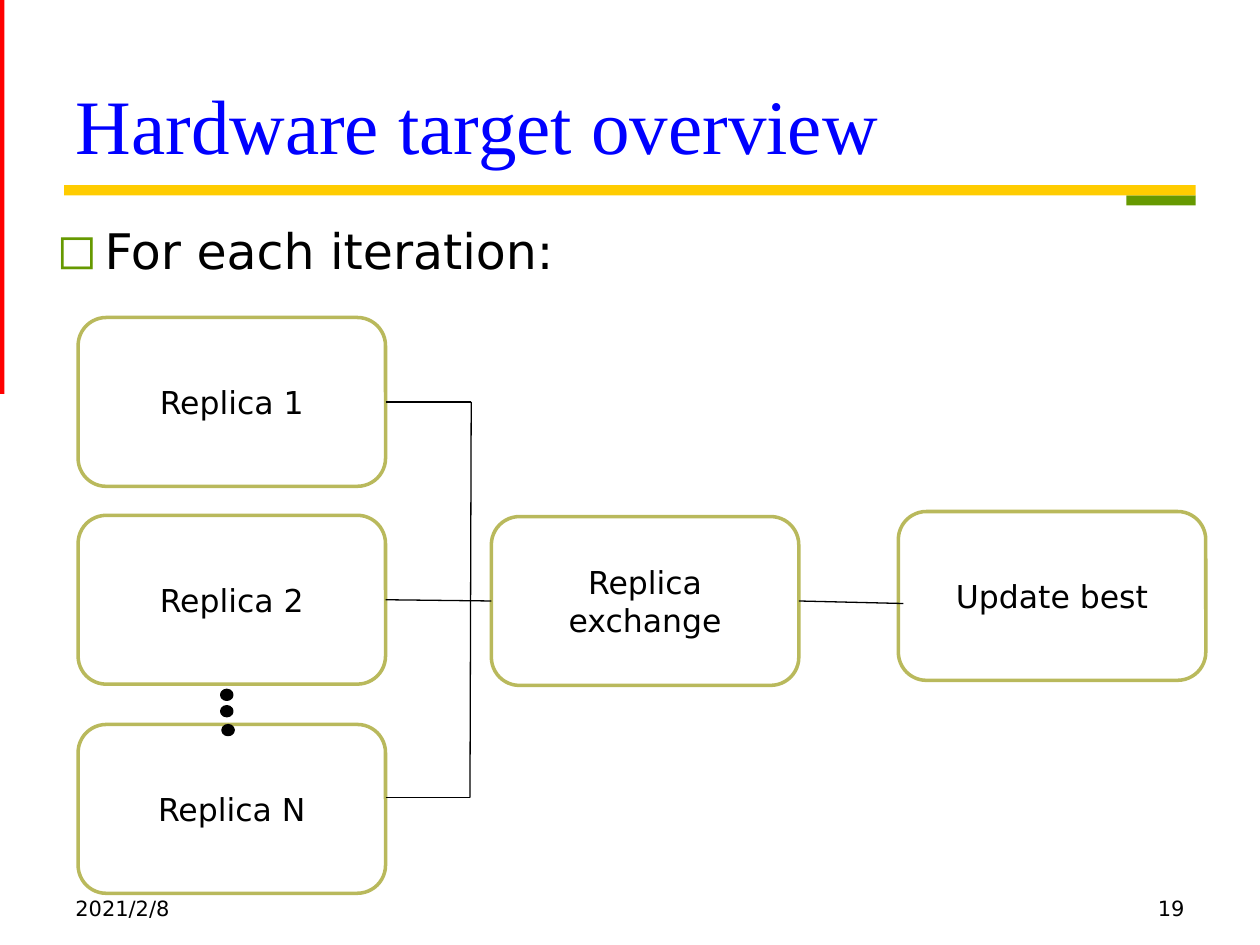
from pptx import Presentation
from pptx.dml.color import RGBColor
from pptx.enum.shapes import MSO_CONNECTOR, MSO_SHAPE
from pptx.enum.text import MSO_ANCHOR, MSO_AUTO_SIZE, PP_ALIGN
from pptx.oxml.ns import qn
from pptx.util import Inches, Pt
from lxml import etree

RECT, ROUNDED, OVAL = MSO_SHAPE.RECTANGLE, MSO_SHAPE.ROUNDED_RECTANGLE, MSO_SHAPE.OVAL
STRAIGHT = MSO_CONNECTOR.STRAIGHT
TOP, MIDDLE, BOTTOM = MSO_ANCHOR.TOP, MSO_ANCHOR.MIDDLE, MSO_ANCHOR.BOTTOM
LEFT, CENTER, RIGHT = PP_ALIGN.LEFT, PP_ALIGN.CENTER, PP_ALIGN.RIGHT
NO_FIT = MSO_AUTO_SIZE.NONE

COLORS = {
    "title": "0000FF", "text": "000000", "paper": "FFFFFF", "olive": "B9B95C",
    "green": "669900", "red": "FF0000", "gold": "FFCC00",
}
SANS, SERIF = "DejaVu Sans", "Times New Roman"

# Diagram grid, in inches
COLUMNS = [0.62, 3.9, 7.13]
ROWS = [2.52, 4.09, 5.75]
BOX_W, BOX_H = 2.44, 1.34
BUS_X = 3.74
LEFT_SIDE, RIGHT_SIDE = 1, 3


def color(name):
    return RGBColor.from_string(COLORS[name])


def place(element, left, top, width, height):
    element.left, element.top = Inches(left), Inches(top)
    element.width, element.height = Inches(width), Inches(height)


def write(holder, text, size=18, font=SANS, ink="text", align=LEFT, anchor=TOP, spacing=None):
    frame = holder.text_frame
    frame.word_wrap = True
    frame.auto_size = NO_FIT
    frame.vertical_anchor = anchor
    paragraph = frame.paragraphs[0]
    paragraph.alignment = align
    paragraph.line_spacing = spacing
    run = paragraph.add_run()
    run.text = text
    run.font.size, run.font.name = Pt(size), font
    run.font.color.rgb = color(ink)
    return paragraph


def add_solid(slide, kind, box, fill, line=None, rotation=0):
    solid = slide.shapes.add_shape(kind, *map(Inches, box))
    solid.shadow.inherit = False
    solid.rotation = rotation
    solid.fill.solid()
    solid.fill.fore_color.rgb = color(fill)
    if line:
        solid.line.color.rgb = color(line)
        solid.line.width = Pt(2)
    else:
        solid.line.fill.background()
    return solid


def add_step(slide, text, left, top):
    step = add_solid(slide, ROUNDED, (left, top, BOX_W, BOX_H), "paper", "olive")
    write(step, text, align=CENTER, anchor=MIDDLE)
    return step


def add_wire(slide, start, end, source=None, target=None):
    wire = slide.shapes.add_connector(STRAIGHT, *map(Inches, start + end))
    wire.line.color.rgb = color("text")
    wire.line.width = Pt(0.75)
    etree.SubElement(wire._element.spPr, qn("a:effectLst"))
    if source:
        wire.begin_connect(source, RIGHT_SIDE)
    if target:
        wire.end_connect(target, LEFT_SIDE)


def add_footer(slide, text, left, align):
    footer = slide.shapes.add_textbox(*map(Inches, (left, 7.06, 2.33, 0.28)))
    write(footer, text, size=12, align=align)


def set_square_bullet(paragraph):
    properties = paragraph._p.get_or_add_pPr()
    properties.set("marL", str(Inches(0.38)))
    properties.set("indent", str(-Inches(0.38)))
    bullet_color = etree.SubElement(properties, qn("a:buClr"))
    etree.SubElement(bullet_color, qn("a:srgbClr"), val=COLORS["green"])
    etree.SubElement(properties, qn("a:buFont"), typeface=SANS)
    etree.SubElement(properties, qn("a:buChar"), char="◻")


def add_frame(slide):
    add_solid(slide, RECT, (8.94, 1.55, 0.55, 0.08), "green")
    add_solid(slide, RECT, (-1.58, 1.51, 3.15, 0.08), "red", rotation=270)
    add_solid(slide, RECT, (0.51, 1.47, 8.98, 0.08), "gold")
    add_footer(slide, "2021/2/8", 0.5, LEFT)
    add_footer(slide, "19", 7.17, RIGHT)


def add_diagram(slide):
    # Steps
    replica_1, replica_2, _ = [
        add_step(slide, f"Replica {label}", COLUMNS[0], top)
        for label, top in zip("12N", ROWS)
    ]
    exchange = add_step(slide, "Replica exchange", COLUMNS[1], 4.1)
    add_step(slide, "Update best", COLUMNS[2], 4.06)

    # Wires
    replica_right = COLUMNS[0] + BOX_W
    bus_top, bus_bottom = (BUS_X, 3.19), (BUS_X - 0.01, 6.33)
    add_wire(slide, (replica_right, 4.76), (COLUMNS[1], 4.77), replica_2, exchange)
    add_wire(slide, (COLUMNS[1] + BOX_W, 4.77), (7.17, 4.79), exchange)
    add_wire(slide, (replica_right, 3.19), bus_top, replica_1)
    add_wire(slide, (replica_right, 6.33), bus_bottom)
    add_wire(slide, bus_top, bus_bottom)

    # Dots standing for the replicas in between
    for left, top in [(1.76, 5.48), (1.76, 5.61), (1.77, 5.76)]:
        add_solid(slide, OVAL, (left, top, 0.08, 0.07), "text", "text")


def main():
    deck = Presentation()
    deck.slide_width, deck.slide_height = Inches(10), Inches(7.5)
    slide = deck.slides.add_slide(deck.slide_layouts[1])

    # Title and list
    title, body = slide.shapes.title, slide.placeholders[1]
    place(title, 0.5, 0.14, 9, 1.25)
    write(title, "Hardware target overview", size=44, font=SERIF, ink="title",
          anchor=BOTTOM, spacing=0.8)
    place(body, 0.35, 1.7, 9, 4.95)
    set_square_bullet(write(body, "For each iteration:", size=28))

    add_frame(slide)
    add_diagram(slide)
    deck.save("out.pptx")


if __name__ == "__main__":
    main()
